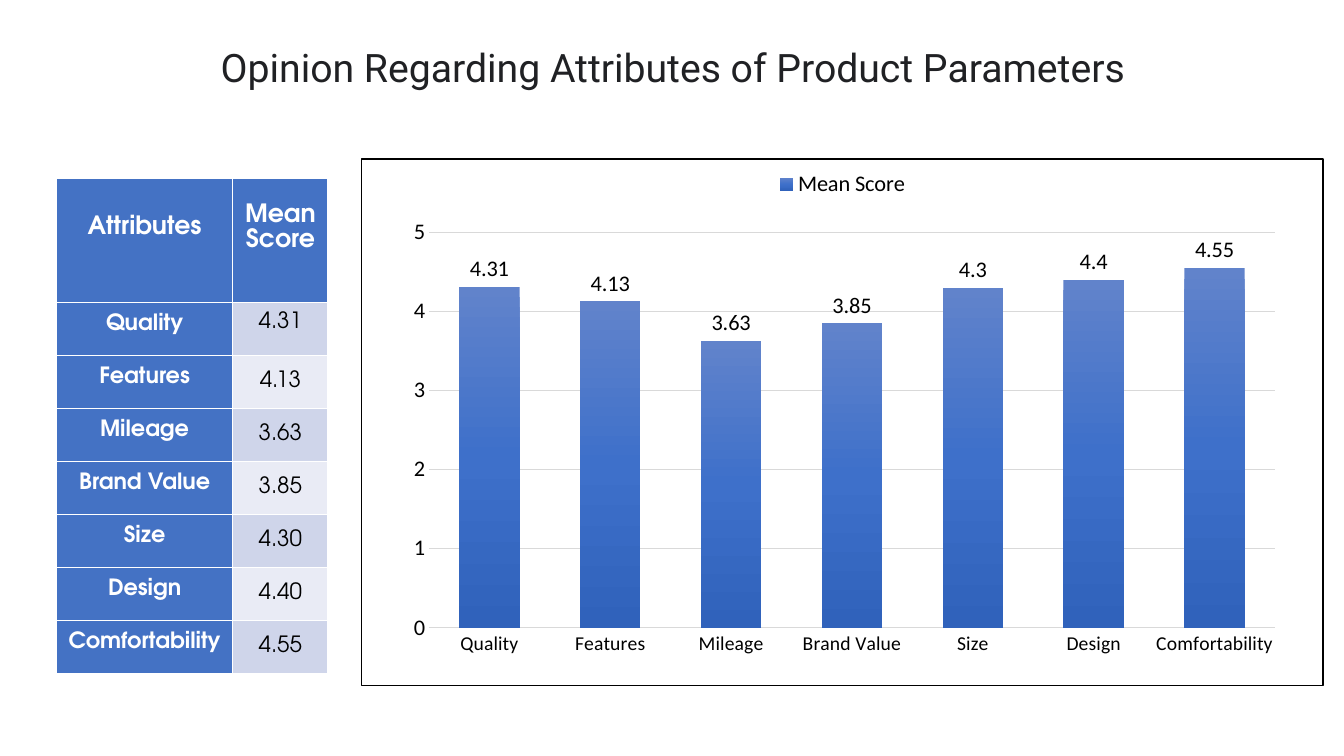
import copy
import dataclasses

import lxml.etree
import pptx
import pptx.chart.data
import pptx.dml.color
import pptx.enum.chart
import pptx.enum.text
import pptx.oxml
import pptx.oxml.ns
import pptx.util

WIDTH, HEIGHT = 13.33, 7.5
HEADING = "Opinion Regarding Attributes of Product Parameters"
SCORES = {"Quality": 4.31, "Features": 4.13, "Mileage": 3.63, "Brand Value": 3.85,
          "Size": 4.3, "Design": 4.4, "Comfortability": 4.55}


@dataclasses.dataclass(frozen=True)
class Theme:
    """Colours, fonts and type sizes of the slide."""
    ink: str = "202124"
    black: str = "000000"
    white: str = "FFFFFF"
    blue: str = "4472C4"
    bands: tuple = ("CFD5EA", "E9EBF5")
    grid: str = "D9D9D9"
    bars: tuple = ("6183CB", "3E70CA", "3062BB")
    title_font: str = "Roboto"
    table_font: str = "TeX Gyre Adventor"
    chart_font: str = "Calibri"
    title: int = 28
    header: int = 18
    body: int = 16
    small: int = 14


THEME = Theme()


def rgb(colour):
    """Turn a hex colour into an RGBColor."""
    return pptx.dml.color.RGBColor.from_string(colour)


def share(x, y, w, h):
    """Turn shares of the slide's size into left, top, width, height."""
    return [pptx.util.Inches(part * size)
            for part, size in zip((x, y, w, h), (WIDTH, HEIGHT) * 2)]


def apply(obj, values):
    """Set every attribute named in a dict of format values."""
    for name, value in values.items():
        setattr(obj, name, value)


def style_font(font, name, size, colour, bold=False):
    """Give a font its face, size, weight and colour."""
    apply(font, {"name": name, "size": pptx.util.Pt(size), "bold": bold})
    font.color.rgb = rgb(colour)


def style_line(line, colour, width):
    """Give a line its colour and width in points."""
    line.color.rgb = rgb(colour)
    line.width = pptx.util.Pt(width)


def chart_xml(body):
    """Parse a chart fragment with its namespaces declared."""
    tag, rest = body.split(">", 1)
    return pptx.oxml.parse_xml(f"{tag} {pptx.oxml.ns.nsdecls('c', 'a')}>{rest}")


def add_title(s, box):
    """Write the heading in the title placeholder."""
    sp = s.shapes.title
    apply(sp, dict(zip(("left", "top", "width", "height"), box)))
    tf = sp.text_frame
    apply(tf, {"word_wrap": True, "vertical_anchor": pptx.enum.text.MSO_ANCHOR.MIDDLE})
    p = tf.paragraphs[0]
    p.alignment = pptx.enum.text.PP_ALIGN.CENTER
    r = p.add_run()
    r.text = HEADING
    style_font(r.font, THEME.title_font, THEME.title, THEME.ink)


def fill_cell(cell, text, fill, colour, size, bold, top=0, side=0.07, spacing=1.07):
    """Fill one table cell; without a top inset the text sits in the middle."""
    anchor = pptx.enum.text.MSO_ANCHOR
    apply(cell, {"margin_left": pptx.util.Inches(side), "margin_right": pptx.util.Inches(side),
                 "margin_top": pptx.util.Inches(top), "margin_bottom": 0,
                 "vertical_anchor": anchor.TOP if top else anchor.MIDDLE})
    p = cell.text_frame.paragraphs[0]
    apply(p, {"alignment": pptx.enum.text.PP_ALIGN.CENTER, "line_spacing": spacing})
    r = p.add_run()
    r.text = text
    style_font(r.font, THEME.table_font, size, colour, bold)
    props = cell._tc.get_or_add_tcPr()
    for edge in ("lnL", "lnR", "lnT", "lnB"):
        props.append(pptx.oxml.parse_xml(
            f'<a:{edge} {pptx.oxml.ns.nsdecls("a")} w="12700"><a:solidFill>'
            f'<a:srgbClr val="{THEME.white}"/></a:solidFill></a:{edge}>'))
    cell.fill.solid()
    cell.fill.fore_color.rgb = rgb(fill)


def add_score_table(s, box):
    """Build the table of attributes and mean scores."""
    width, height = box[2:]
    table = s.shapes.add_table(len(SCORES) + 1, 2, *box).table
    for column, part in zip(table.columns, (0.65, 0.35)):
        column.width = int(width * part)
    for i, row in enumerate(table.rows):
        row.height = int(height * (0.25 if i == 0 else 0.75 / len(SCORES)))
    for column, (text, top) in enumerate((("Attributes", 0.36), ("Mean Score", 0.24))):
        fill_cell(table.cell(0, column), text, THEME.blue, THEME.white,
                  THEME.header, True, top)
    for i, (name, score) in enumerate(SCORES.items()):
        fill_cell(table.cell(i + 1, 0), name, THEME.blue, THEME.white,
                  THEME.body, True, 0.1)
        fill_cell(table.cell(i + 1, 1), f"{score:.2f}", THEME.bands[i % 2], THEME.black,
                  THEME.body, False, 0.1 if i == 0 else 0, 0.01, 1.0)


def style_axes(chart):
    """Format the category and value axes."""
    none = pptx.enum.chart.XL_TICK_MARK.NONE
    for axis, size in ((chart.category_axis, THEME.small), (chart.value_axis, THEME.body)):
        apply(axis, {"major_tick_mark": none, "minor_tick_mark": none})
        style_font(axis.tick_labels.font, THEME.chart_font, size, THEME.black)
    style_line(chart.category_axis.format.line, THEME.grid, 1)
    axis = chart.value_axis
    apply(axis, {"minimum_scale": 0, "maximum_scale": 5, "major_unit": 1})
    axis.format.line.fill.background()
    style_line(axis.major_gridlines.format.line, THEME.grid, 0.75)


def style_bars(plot):
    """Format the columns, their gradient and their labels."""
    apply(plot, {"gap_width": 100, "overlap": -24, "vary_by_categories": False,
                 "has_data_labels": True})
    labels = plot.data_labels
    apply(labels, {"show_value": True,
                   "position": pptx.enum.chart.XL_LABEL_POSITION.OUTSIDE_END})
    style_font(labels.font, THEME.chart_font, THEME.body, THEME.black)
    series = plot.series[0]
    fill = series.format.fill
    fill.gradient()
    fill.gradient_angle = 270
    first = series._element.xpath(".//a:gs")[0]
    first.addnext(copy.deepcopy(first))
    for i, (stop, colour) in enumerate(zip(fill.gradient_stops, THEME.bars)):
        stop.color.rgb = rgb(colour)
        stop.position = i / 2


def frame_chart(chart, plot_box):
    """Give the chart its background, border and inner plot area."""
    root = chart._chartSpace
    root.xpath("c:chart")[0].addnext(chart_xml(
        f'<c:spPr><a:solidFill><a:srgbClr val="{THEME.white}"/></a:solidFill>'
        f'<a:ln w="12700"><a:solidFill><a:srgbClr val="{THEME.black}"/></a:solidFill>'
        '</a:ln></c:spPr>'))
    area = root.xpath("c:chart/c:plotArea")[0]
    for old in area.xpath("c:layout"):
        area.remove(old)
    modes = '<c:layoutTarget val="inner"/><c:xMode val="edge"/><c:yMode val="edge"/>'
    sizes = "".join(f'<c:{key} val="{value}"/>' for key, value in zip("xywh", plot_box))
    area.insert(0, chart_xml(
        f"<c:layout><c:manualLayout>{modes}{sizes}</c:manualLayout></c:layout>"))


def add_score_chart(s, box):
    """Build the column chart of mean scores."""
    data = pptx.chart.data.CategoryChartData()
    data.categories = list(SCORES)
    data.add_series("Mean Score", list(SCORES.values()))
    kind = pptx.enum.chart.XL_CHART_TYPE.COLUMN_CLUSTERED
    chart = s.shapes.add_chart(kind, *box, data).chart
    apply(chart, {"has_title": False, "has_legend": True})
    style_font(chart.font, THEME.chart_font, THEME.body, THEME.black)
    apply(chart.legend, {"position": pptx.enum.chart.XL_LEGEND_POSITION.TOP,
                         "include_in_layout": False})
    style_font(chart.legend.font, THEME.chart_font, THEME.body, THEME.black)
    style_axes(chart)
    style_bars(chart.plots[0])
    frame_chart(chart, (0.07, 0.14, 0.88, 0.75))


def main():
    """Build and save the slide."""
    prs = pptx.Presentation()
    apply(prs, {"slide_width": pptx.util.Inches(WIDTH),
                "slide_height": pptx.util.Inches(HEIGHT)})
    s = prs.slides.add_slide(prs.slide_layouts[5])
    add_title(s, share(0.015, 0.051, 0.971, 0.076))
    add_score_table(s, share(0.042, 0.236, 0.202, 0.655))
    add_score_chart(s, share(0.2686, 0.2093, 0.7164, 0.6987))
    prs.save("out.pptx")


if __name__ == "__main__":
    main()
